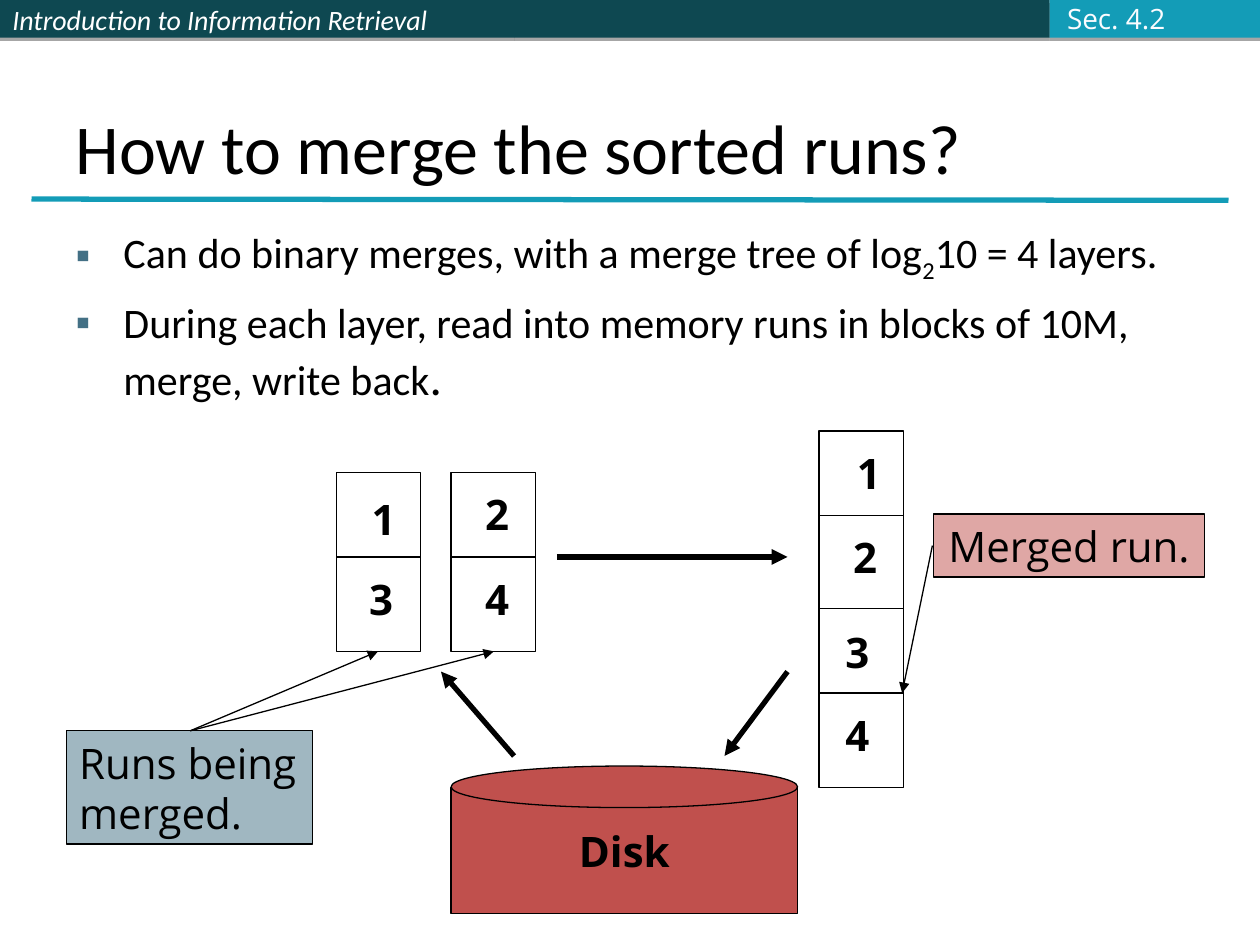
"""Build a slide showing how sorted runs are merged between memory and disk."""
from dataclasses import dataclass

import lxml.etree
import pptx
import pptx.dml.color
import pptx.enum.shapes
import pptx.enum.text
import pptx.oxml.ns
import pptx.util

Inches = pptx.util.Inches
Pt = pptx.util.Pt
qn = pptx.oxml.ns.qn
Shape = pptx.enum.shapes.MSO_SHAPE
Align = pptx.enum.text.PP_ALIGN
Anchor = pptx.enum.text.MSO_ANCHOR

COLORS = {
    "black": "000000",
    "white": "FFFFFF",
    "section": "FBFCFF",
    "header": "0E4851",
    "accent": "139CB7",
    "slate": "437085",
    "red": "C0504D",
}
HEADING_FONT = "Calibri"
DIAGRAM_FONT = "Open Sans"
BLOCK_WIDTH, BLOCK_HEIGHT, DIVIDER_DROP = 0.67, 1.42, 0.67


@dataclass
class Label:
    text: str
    left: float
    top: float


@dataclass
class RunBlock:
    left: float
    top: float
    labels: tuple[Label, Label]


@dataclass
class Arrow:
    start: tuple[float, float]
    end: tuple[float, float]
    width: float = 0.75


INPUT_RUNS = (
    RunBlock(2.67, 3.75, (Label("1", 2.85, 3.87), Label("3", 2.83, 4.5))),
    RunBlock(3.58, 3.75, (Label("2", 3.75, 3.83), Label("4", 3.75, 4.5))),
)
MERGED_RUN = (
    RunBlock(6.5, 3.42, (Label("1", 6.7, 3.5), Label("2", 6.67, 4.17))),
    RunBlock(6.5, 4.83, (Label("3", 6.61, 4.92), Label("4", 6.61, 5.58))),
)
ARROWS = (
    Arrow((4.08, 6), (3.5, 5.33), 3),
    Arrow((4.42, 4.42), (6.25, 4.42), 3),
    Arrow((6.25, 5.33), (5.75, 6), 3),
    Arrow((1.51, 5.8), (3, 5.17)),
    Arrow((1.51, 5.8), (3.92, 5.17)),
    Arrow((7.4, 4.33), (7.16, 5.5)),
)


def rgb(name: str):
    return pptx.dml.color.RGBColor.from_string(COLORS[name])


def add_xml(parent, tag: str, **attributes: str):
    child = lxml.etree.SubElement(parent, qn(tag))
    for key, value in attributes.items():
        child.set(key, value)
    return child


def place(shape, left: float, top: float, width: float, height: float) -> None:
    shape.left, shape.top = Inches(left), Inches(top)
    shape.width, shape.height = Inches(width), Inches(height)


def add_run(paragraph, text: str, size=24, font=DIAGRAM_FONT, color="black", bold=False, italic=False):
    run = paragraph.add_run()
    run.text = text
    run.font.size, run.font.name = Pt(size), font
    run.font.bold, run.font.italic = bold, italic
    run.font.color.rgb = rgb(color)
    return run


def write(frame, *lines: str, align=Align.CENTER, anchor=Anchor.MIDDLE, wrap=False, **font) -> None:
    frame.auto_size = pptx.enum.text.MSO_AUTO_SIZE.NONE
    frame.word_wrap, frame.vertical_anchor = wrap, anchor
    for index, line in enumerate(lines):
        paragraph = frame.add_paragraph() if index else frame.paragraphs[0]
        paragraph.alignment = align
        add_run(paragraph, line, **font)


def add_panel(shapes, left: float, top: float, width: float, height: float, fill="white",
              kind=Shape.RECTANGLE, alpha=100, outlined=True):
    panel = shapes.add_shape(kind, Inches(left), Inches(top), Inches(width), Inches(height))
    panel.shadow.inherit = False
    panel.fill.solid()
    panel.fill.fore_color.rgb = rgb(fill)
    if alpha < 100:
        fill_color = panel.element.spPr.find(qn("a:solidFill"))[0]
        add_xml(fill_color, "a:alpha", val=str(alpha * 1000))
    if outlined:
        panel.line.color.rgb, panel.line.width = rgb("black"), Pt(0.75)
    else:
        panel.line.fill.background()
    return panel


def add_header_band(shapes, left: float, width: float, fill: str):
    band = add_panel(shapes, left, 0, width, 0.3, fill, outlined=False)
    effects = band.element.spPr.find(qn("a:effectLst"))
    shadow = add_xml(effects, "a:outerShdw", dist=str(Pt(1.8)), dir="5400000", rotWithShape="0")
    shadow_color = add_xml(shadow, "a:srgbClr", val=COLORS["black"])
    add_xml(shadow_color, "a:alpha", val="35000")
    return band


def add_line(shapes, start, end, width=0.75, color="black", arrow=False) -> None:
    ends = [Inches(value) for value in (*start, *end)]
    line = shapes.add_connector(pptx.enum.shapes.MSO_CONNECTOR.STRAIGHT, *ends)
    line.line.color.rgb, line.line.width = rgb(color), Pt(width)
    if arrow:
        add_xml(line.element.spPr.find(qn("a:ln")), "a:tailEnd", type="triangle")
    add_xml(line.element.spPr, "a:effectLst")


def add_run_block(shapes, block: RunBlock) -> None:
    add_panel(shapes, block.left, block.top, BLOCK_WIDTH, BLOCK_HEIGHT)
    middle = block.top + DIVIDER_DROP
    add_line(shapes, (block.left, middle), (block.left + BLOCK_WIDTH, middle))
    for label in block.labels:
        box = shapes.add_textbox(Inches(label.left), Inches(label.top), Inches(0.39), Inches(0.5))
        write(box.text_frame, label.text, bold=True)


def add_bullet(paragraph) -> None:
    properties = paragraph._p.get_or_add_pPr()
    properties.set("marL", str(Inches(0.38)))
    properties.set("indent", str(-Inches(0.38)))
    add_xml(add_xml(properties, "a:buClr"), "a:srgbClr", val=COLORS["slate"])
    add_xml(properties, "a:buChar", char="▪")


def fill_body(body) -> None:
    place(body, 0.5, 1.75, 9, 5.42)
    frame = body.text_frame
    frame.auto_size = pptx.enum.text.MSO_AUTO_SIZE.NONE
    layers, blocks = frame.paragraphs[0], frame.add_paragraph()
    for paragraph, gap in ((layers, 0), (blocks, 7)):
        add_bullet(paragraph)
        paragraph.space_before = Pt(gap)
    add_run(layers, "Can do binary merges, with a merge tree of log", font=HEADING_FONT)
    log_base = add_run(layers, "2", font=HEADING_FONT)
    log_base._r.get_or_add_rPr().set("baseline", "-25000")
    add_run(layers, "10 = 4 layers.", font=HEADING_FONT)
    add_run(blocks, "During each layer, read into memory runs in blocks of 10M, merge, write back",
            font=HEADING_FONT)
    add_run(blocks, ".", size=28, font=HEADING_FONT)


def main() -> None:
    deck = pptx.Presentation()
    deck.slide_width, deck.slide_height = Inches(10), Inches(7.5)
    slide = deck.slides.add_slide(deck.slide_layouts[1])
    shapes = slide.shapes

    course = add_header_band(shapes, 0, 4.08, "header")
    write(course.text_frame, "Introduction to Information Retrieval", align=Align.LEFT, wrap=True,
          size=16, font=HEADING_FONT, color="white", italic=True)
    add_header_band(shapes, 4.08, 4.25, "header")
    add_header_band(shapes, 8.33, 1.67, "accent")
    section = shapes.add_textbox(Inches(8.37), Inches(-0.04), Inches(0.98), Inches(0.37))
    write(section.text_frame, "Sec. 4.2", align=Align.LEFT, size=16, color="section")

    place(shapes.title, 0.5, 0.3, 9, 1.25)
    write(shapes.title.text_frame, "How to merge the sorted runs?", align=Align.LEFT,
          anchor=Anchor.BOTTOM, wrap=True, size=40, font=HEADING_FONT)
    add_line(shapes, (0.25, 1.58), (9.75, 1.59), width=3, color="accent")
    fill_body(slide.placeholders[1])

    for block in INPUT_RUNS:
        add_run_block(shapes, block)
    for block in MERGED_RUN:
        add_run_block(shapes.add_group_shape().shapes, block)

    disk = add_panel(shapes, 3.58, 6.25, 2.75, 1, "red")
    write(disk.text_frame, "Disk", bold=True)
    add_panel(shapes, 3.58, 6.08, 2.75, 0.33, "red", kind=Shape.OVAL)
    inputs_note = add_panel(shapes, 0.53, 5.8, 1.95, 0.9, "slate", alpha=50)
    write(inputs_note.text_frame, "Runs being", "merged.", align=Align.LEFT)
    merged_note = add_panel(shapes, 7.41, 4.08, 2.15, 0.5, "red", alpha=50)
    write(merged_note.text_frame, "Merged run.")
    for arrow in ARROWS:
        add_line(shapes, arrow.start, arrow.end, arrow.width, arrow=True)
    deck.save("out.pptx")


if __name__ == "__main__":
    main()
